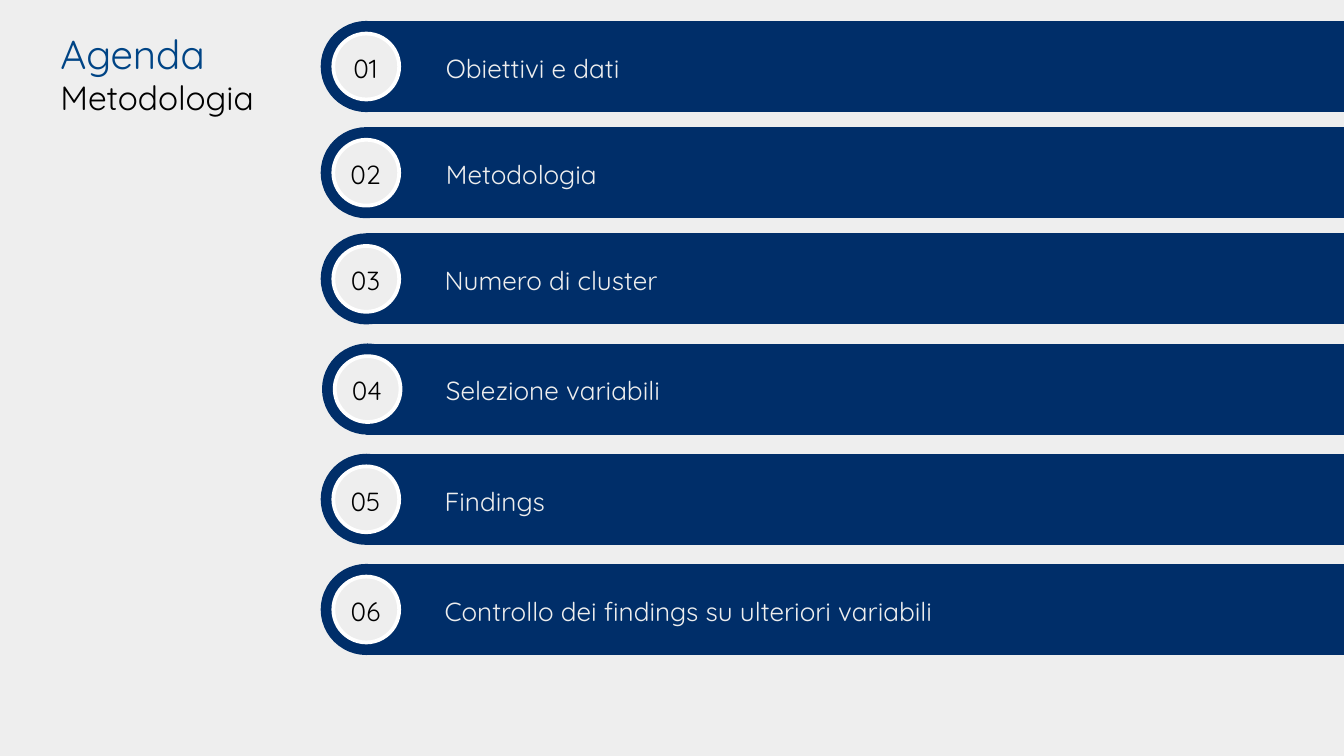
from pptx import Presentation
from pptx.dml.color import RGBColor
from pptx.enum.shapes import MSO_SHAPE
from pptx.enum.text import MSO_ANCHOR, PP_ALIGN
from pptx.util import Inches, Pt

FONT = "Quicksand"
NAVY, PALE, WHITE, BLACK = "002E69", "EEEEEE", "FFFFFF", "000000"
color = RGBColor.from_string


def add_form(group, kind, x, y, w, h, fill, line):
    form = group.shapes.add_shape(kind, Inches(x), Inches(y), Inches(w), Inches(h))
    form.shadow.inherit = False
    form.fill.solid()
    form.fill.fore_color.rgb = color(fill)
    form.line.color.rgb = color(line)
    form.line.width = Pt(2)


def add_label(parent, text, x, y, w, tint, align):
    box = parent.shapes.add_textbox(Inches(x), Inches(y), Inches(w), Inches(0.34))
    box.text_frame.word_wrap = True
    para = box.text_frame.paragraphs[0]
    para.text = text
    para.alignment = align
    para.font.name = FONT
    para.font.size = Pt(14)
    para.font.color.rgb = color(tint)


# Widescreen slide, 16 to 9
deck = Presentation()
deck.slide_width = Inches(10)
deck.slide_height = deck.slide_width * 9 // 16
slide = deck.slides.add_slide(deck.slide_layouts[6])
slide.background.fill.solid()
slide.background.fill.fore_color.rgb = color(PALE)

# Title in two lines
title = slide.shapes.add_textbox(Inches(0.35), Inches(0.33), Inches(8.62), Inches(0.43))
frame = title.text_frame
frame.word_wrap = True
frame.vertical_anchor = MSO_ANCHOR.MIDDLE
para = frame.paragraphs[0]
para.font.name = FONT
for text, size, tint in [("Agenda", 21.6, "004485"), ("Metodologia", 18, BLACK)]:
    if para.runs:
        para.add_line_break()
    run = para.add_run()
    run.text = text
    run.font.size = Pt(size)
    run.font.color.rgb = color(tint)

# Agenda items: top, left of the round end, left of the label, label
items = [
    (0.17, 2.4, 3.22, "Obiettivi e dati"),
    (0.96, 2.4, 3.22, "Metodologia"),
    (1.75, 2.4, 3.21, "Numero di cluster"),
    (2.57, 2.41, 3.22, "Selezione variabili"),
    (3.39, 2.4, 3.21, "Findings"),
    (4.21, 2.4, 3.21, "Controllo dei findings su ulteriori variabili"),
]
for num, (top, left, start, text) in enumerate(items, 1):
    # Bar with round end and numbered disc
    group = slide.shapes.add_group_shape()
    add_form(group, MSO_SHAPE.RECTANGLE, 2.73, top, 7.28, 0.65, NAVY, NAVY)
    add_form(group, MSO_SHAPE.OVAL, left, top, 0.65, 0.65, NAVY, NAVY)
    add_form(group, MSO_SHAPE.OVAL, left + 0.08, top + 0.08, 0.49, 0.49, PALE, WHITE)
    add_label(group, f"{num:02}", left + 0.08, top + 0.17, 0.48, BLACK, PP_ALIGN.CENTER)
    # Item name
    add_label(slide, text, start, top + 0.17, 6.57, PALE, PP_ALIGN.LEFT)

deck.save("out.pptx")
